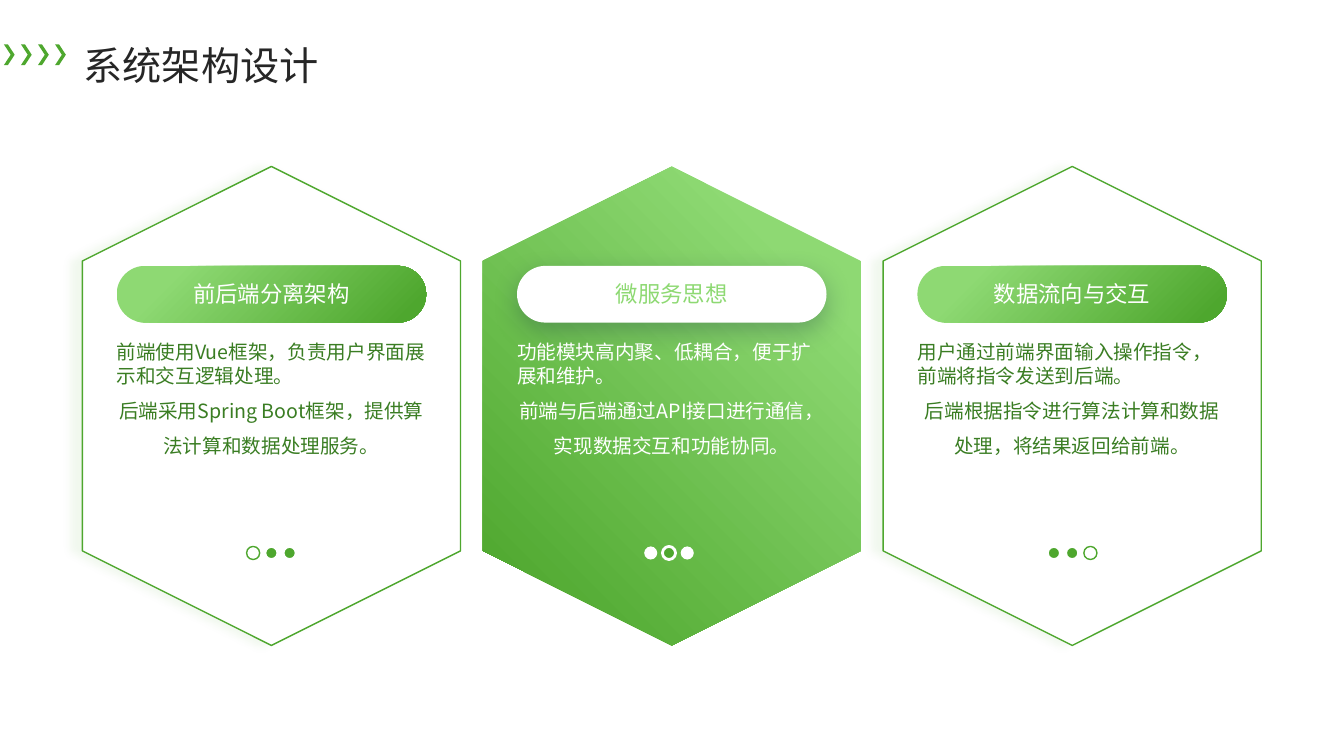
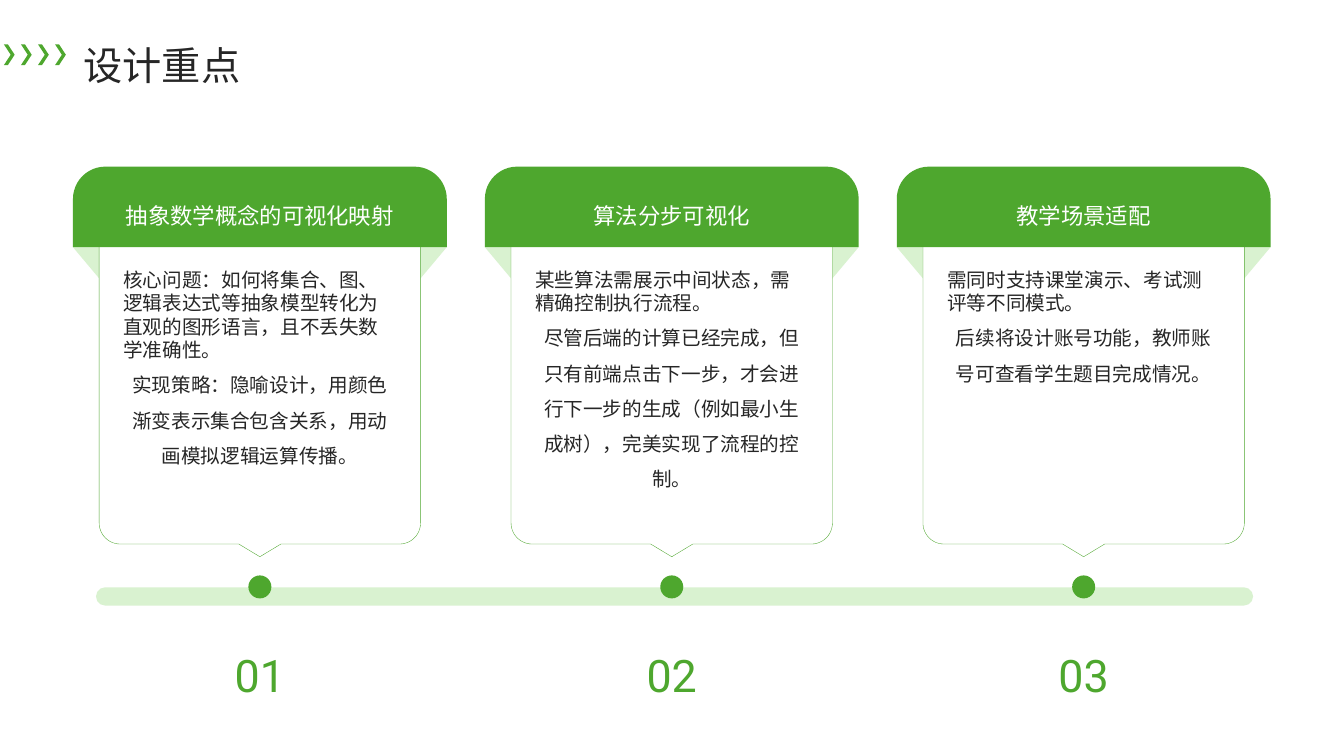
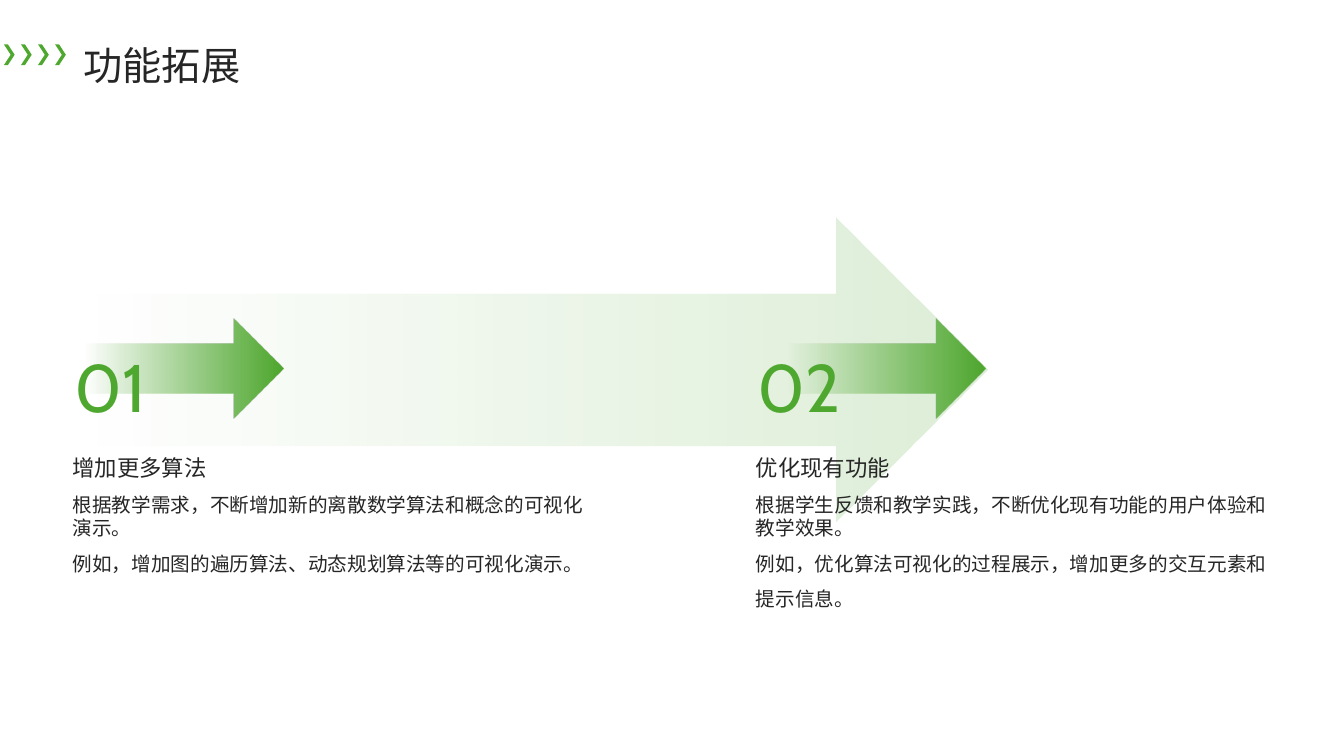
import math
from dataclasses import dataclass
from typing import NamedTuple

from lxml import etree
from pptx import Presentation
from pptx import util as u
from pptx.dml.color import RGBColor
from pptx.enum import shapes, text
from pptx.oxml.ns import qn

COLORS = {
    "green": "4EA72E",
    "light": "8ED973",
    "pale": "D9F2D0",
    "dark": "3A7D23",
    "ink": "262626",
    "navy": "0E2841",
    "white": "FFFFFF",
}
CJK = "Noto Sans CJK SC"
KIND = shapes.MSO_SHAPE
ALIGN = text.PP_ALIGN
ANCHOR = text.MSO_ANCHOR


class Frame(NamedTuple):
    left: float
    top: float
    width: float
    height: float

    def lengths(self) -> list:
        return [u.Cm(value) for value in self]


class Line(NamedTuple):
    color: str
    width: float


class Stop(NamedTuple):
    position: float
    color: str
    opacity: int = 100


class Gradient(NamedTuple):
    start: Stop
    end: Stop
    angle: int


class Shadow(NamedTuple):
    color: str
    opacity: int
    blur: float
    distance: float
    direction: int


class Style(NamedTuple):
    size: int
    color: str
    font: str = CJK
    align: ALIGN = ALIGN.LEFT
    spacing: float = 1.5


class Dot(NamedTuple):
    fill: str | None
    line: Line | None


@dataclass
class Hexagon:
    heading: str
    body: tuple[str, str]
    fill: str | Gradient
    line: Line | None
    shadow: Shadow | None
    pill: str | Gradient
    pill_shadow: Shadow | None
    heading_color: str
    body_color: str
    dots: tuple[Dot, Dot, Dot]
    dot_shift: float = 0


@dataclass
class Topic:
    heading: str
    body: tuple[str, str]


DIAGONAL = Gradient(Stop(0.18, "light"), Stop(0.93, "green"), 315)
BIG_FADE = Gradient(Stop(0, "green", 0), Stop(1, "green", 20), 0)
SMALL_FADE = Gradient(Stop(0.06, "green", 0), Stop(1, "green"), 0)
GREEN_LINE = Line("green", 1)
GLOW = Shadow("green", 8, 5.6, 8, 180)
PILL_SHADOW = Shadow("navy", 28, 19, 6, 90)
RING = Dot(None, GREEN_LINE)
SOLID = Dot("green", Line("white", 2))
WHITE = Dot("white", None)

HEXAGONS = [
    Hexagon(
        "前后端分离架构",
        ("前端使用Vue框架，负责用户界面展示和交互逻辑处理。",
         "后端采用Spring Boot框架，提供算法计算和数据处理服务。"),
        "white", GREEN_LINE, GLOW, DIAGONAL, None, "white", "dark",
        (RING, SOLID, SOLID),
    ),
    Hexagon(
        "微服务思想",
        ("功能模块高内聚、低耦合，便于扩展和维护。",
         "前端与后端通过API接口进行通信，实现数据交互和功能协同。"),
        DIAGONAL, None, None, "white", PILL_SHADOW, "light", "white",
        (WHITE, SOLID, WHITE), -0.07,
    ),
    Hexagon(
        "数据流向与交互",
        ("用户通过前端界面输入操作指令，前端将指令发送到后端。",
         "后端根据指令进行算法计算和数据处理，将结果返回给前端。"),
        "white", GREEN_LINE, GLOW, DIAGONAL, None, "white", "dark",
        (SOLID, SOLID, RING),
    ),
]

FOCUS_TOPICS = [
    Topic("抽象数学概念的可视化映射",
          ("核心问题：如何将集合、图、逻辑表达式等抽象模型转化为直观的图形语言，且不丢失数学准确性。",
           "实现策略：隐喻设计，用颜色渐变表示集合包含关系，用动画模拟逻辑运算传播。")),
    Topic("算法分步可视化",
          ("某些算法需展示中间状态，需精确控制执行流程。",
           "尽管后端的计算已经完成，但只有前端点击下一步，才会进行下一步的生成（例如最小生成树），完美实现了流程的控制。")),
    Topic("教学场景适配",
          ("需同时支持课堂演示、考试测评等不同模式。",
           "后续将设计账号功能，教师账号可查看学生题目完成情况。")),
]

EXTENSIONS = [
    Topic("增加更多算法",
          ("根据教学需求，不断增加新的离散数学算法和概念的可视化演示。",
           "例如，增加图的遍历算法、动态规划算法等的可视化演示。")),
    Topic("优化现有功能",
          ("根据学生反馈和教学实践，不断优化现有功能的用户体验和教学效果。",
           "例如，优化算法可视化的过程展示，增加更多的交互元素和提示信息。")),
]


def rgb(name: str) -> RGBColor:
    return RGBColor.from_string(COLORS[name])


def add_opacity(color, percent: int) -> None:
    etree.SubElement(color, qn("a:alpha"), val=str(percent * 1000))


def paint(shape, fill: str | Gradient | None, line: Line | None = None,
          shadow: Shadow | None = None) -> None:
    if fill is None:
        shape.fill.background()
    elif isinstance(fill, Gradient):
        shape.fill.gradient()
        shape.fill.gradient_angle = fill.angle
        for target, stop in zip(shape.fill.gradient_stops, (fill.start, fill.end)):
            target.position = stop.position
            target.color.rgb = rgb(stop.color)
        colors = shape._element.spPr.findall(".//" + qn("a:srgbClr"))
        for color, stop in zip(colors, (fill.start, fill.end)):
            if stop.opacity < 100:
                add_opacity(color, stop.opacity)
    else:
        shape.fill.solid()
        shape.fill.fore_color.rgb = rgb(fill)
    if line:
        shape.line.color.rgb = rgb(line.color)
        shape.line.width = u.Pt(line.width)
    else:
        shape.line.fill.background()
    shape.shadow.inherit = False
    if shadow:
        effects = shape._element.spPr.find(qn("a:effectLst"))
        outer = etree.SubElement(
            effects, qn("a:outerShdw"), blurRad=str(u.Pt(shadow.blur)),
            dist=str(u.Pt(shadow.distance)), dir=str(shadow.direction * 60000),
            algn="ctr", rotWithShape="0")
        color = etree.SubElement(outer, qn("a:srgbClr"), val=COLORS[shadow.color])
        add_opacity(color, shadow.opacity)


def draw(page, kind, frame: Frame, fill: str | Gradient | None,
         line: Line | None = None, shadow: Shadow | None = None,
         adjustments: tuple = ()):
    shape = page.shapes.add_shape(kind, *frame.lengths())
    for index, value in enumerate(adjustments):
        shape.adjustments[index] = value
    paint(shape, fill, line, shadow)
    return shape


def draw_outline(page, contours: list, fill: str, line: Line | None = None) -> None:
    first, *others = [[(u.Cm(x), u.Cm(y)) for x, y in contour] for contour in contours]
    builder = page.shapes.build_freeform(*first[0])
    builder.add_line_segments(first[1:], close=True)
    for contour in others:
        builder.move_to(*contour[0])
        builder.add_line_segments(contour[1:], close=True)
    paint(builder.convert_to_shape(), fill, line)


def write(page, frame: Frame, lines: list[tuple[str, Style]],
          anchor=ANCHOR.TOP) -> None:
    box = page.shapes.add_textbox(*frame.lengths()).text_frame
    box.word_wrap = True
    box.vertical_anchor = anchor
    box.margin_left = box.margin_right = box.margin_top = box.margin_bottom = 0
    for index, (words, style) in enumerate(lines):
        para = box.add_paragraph() if index else box.paragraphs[0]
        para.text = words
        para.alignment = style.align
        para.line_spacing = style.spacing
        font = para.font
        font.size = u.Pt(style.size)
        font.name = style.font
        font.color.rgb = rgb(style.color)
        defaults = para._p.pPr.find(qn("a:defRPr"))
        etree.SubElement(defaults, qn("a:ea"), typeface=style.font)


def write_body(page, frame: Frame, body: tuple[str, str], color: str, align) -> None:
    lead, detail = body
    write(page, frame, [(lead, Style(14, color, spacing=1.0)),
                        (detail, Style(14, color, align=align))])


def add_page(deck, title: str):
    page = deck.slides.add_slide(deck.slide_layouts[6])
    top, half, pitch = 1.12, 0.26, 0.43
    chevrons = []
    for index in range(4):
        left = 0.1 + index * pitch
        chevrons.append([
            (left, top), (left + 0.1, top), (left + 0.27, top + half),
            (left + 0.1, top + 2 * half), (left, top + 2 * half),
            (left + 0.17, top + half)])
    draw_outline(page, chevrons, "green")
    write(page, Frame(2.11, 0.69, 28.83, 1.5), [(title, Style(28, "ink", spacing=1.3))])
    return page


def draw_hexagon(page, center: float, card: Hexagon) -> None:
    length, breadth, middle = 12.07, 9.53, 10.23
    hexagon = draw(page, KIND.HEXAGON,
                   Frame(center - length / 2, middle - breadth / 2, length, breadth),
                   card.fill, card.line, card.shadow)
    hexagon.rotation = 90
    left, width = center - 3.9, 7.8
    draw(page, KIND.ROUNDED_RECTANGLE, Frame(left, 6.7, width, 1.43),
         card.pill, shadow=card.pill_shadow, adjustments=(0.5,))
    write(page, Frame(left + 0.2, 6.93, width - 0.4, 0.94),
          [(card.heading, Style(16, card.heading_color, align=ALIGN.CENTER, spacing=1.0))],
          ANCHOR.MIDDLE)
    write_body(page, Frame(left, 8.57, width, 4.8), card.body, card.body_color, ALIGN.CENTER)
    size, pitch = 0.33, 0.46
    for index, dot in enumerate(card.dots):
        dot_left = center + card.dot_shift + (index - 1) * pitch - size / 2
        draw(page, KIND.OVAL, Frame(dot_left, 13.77, size, size), dot.fill, dot.line)


def corner(x: float, y: float, radius: float, start: int) -> list:
    angles = [math.radians(start + step * 7.5) for step in range(13)]
    return [(x + radius * math.cos(angle), y + radius * math.sin(angle)) for angle in angles]


def draw_topic(page, center: float, number: int, topic: Topic) -> None:
    header = Frame(center - 4.71, 4.2, 9.42, 2.03)
    fold_width, fold_height = 0.68, 0.81
    fold_top = header.top + header.height
    folds = [(header.left, True), (header.left + header.width - fold_width, False)]
    for left, mirrored in folds:
        fold = draw(page, KIND.RIGHT_TRIANGLE,
                    Frame(left, fold_top, fold_width, fold_height), "pale")
        fold._element.spPr.xfrm.set("flipV", "1")
        if mirrored:
            fold._element.spPr.xfrm.set("flipH", "1")
    half, top, base, radius = 4.05, 4.95, 13.71, 0.53
    panel = [(center - half, top), (center + half, top),
             *corner(center + half - radius, base - radius, radius, 0),
             (center + radius, base), (center, base + 0.32), (center - radius, base),
             *corner(center - half + radius, base - radius, radius, 90)]
    draw_outline(page, [panel], "white", Line("green", 0.25))
    draw(page, KIND.ROUND_2_SAME_RECTANGLE, header, "green", adjustments=(0.4, 0))
    left, width = center - 3.44, 6.88
    write_body(page, Frame(left, 6.74, width, 6.27), topic.body, "ink", ALIGN.CENTER)
    write(page, Frame(left, 4.31, width, 1.93),
          [(topic.heading, Style(16, "white", align=ALIGN.CENTER))], ANCHOR.MIDDLE)
    draw(page, KIND.OVAL, Frame(center - 0.29, 14.5, 0.58, 0.58), "green")
    write(page, Frame(left, 15.7, width, 1.93),
          [(f"{number:02}", Style(32, "green", "Roboto", ALIGN.CENTER))], ANCHOR.MIDDLE)


def draw_extension(page, left: float, arrow_left: float, number: int, topic: Topic) -> None:
    draw(page, KIND.RIGHT_ARROW, Frame(arrow_left, 8.02, 5.3, 2.52), SMALL_FADE)
    width = 12.95
    write_body(page, Frame(left, 12.42, width, 4.62), topic.body, "ink", ALIGN.LEFT)
    write(page, Frame(left, 10.75, width, 1.75), [(topic.heading, Style(16, "ink"))],
          ANCHOR.MIDDLE)
    write(page, Frame(left + 0.04, 7.54, 6.43, 3.33),
          [(f"{number:02}", Style(48, "green", "Cabin"))], ANCHOR.MIDDLE)


def build_architecture(deck) -> None:
    page = add_page(deck, "系统架构设计")
    for index, card in enumerate(HEXAGONS):
        draw_hexagon(page, 6.84 + index * 10.09, card)


def build_focus(deck) -> None:
    page = add_page(deck, "设计重点")
    draw(page, KIND.ROUNDED_RECTANGLE, Frame(2.42, 14.8, 29.16, 0.46), "pale",
         adjustments=(0.5,))
    for index, topic in enumerate(FOCUS_TOPICS):
        draw_topic(page, 6.55 + index * 10.38, index + 1, topic)


def build_extensions(deck) -> None:
    page = add_page(deck, "功能拓展")
    draw(page, KIND.RIGHT_ARROW, Frame(1.78, 5.49, 23.11, 7.65), BIG_FADE)
    columns = zip((1.83, 19.05), (1.84, 19.54), EXTENSIONS)
    for number, (left, arrow_left, topic) in enumerate(columns, start=1):
        draw_extension(page, left, arrow_left, number, topic)


def main() -> None:
    deck = Presentation()
    deck.slide_width = u.Cm(33.87)
    deck.slide_height = u.Cm(19.05)
    build_architecture(deck)
    build_focus(deck)
    build_extensions(deck)
    deck.save("out.pptx")


if __name__ == "__main__":
    main()
